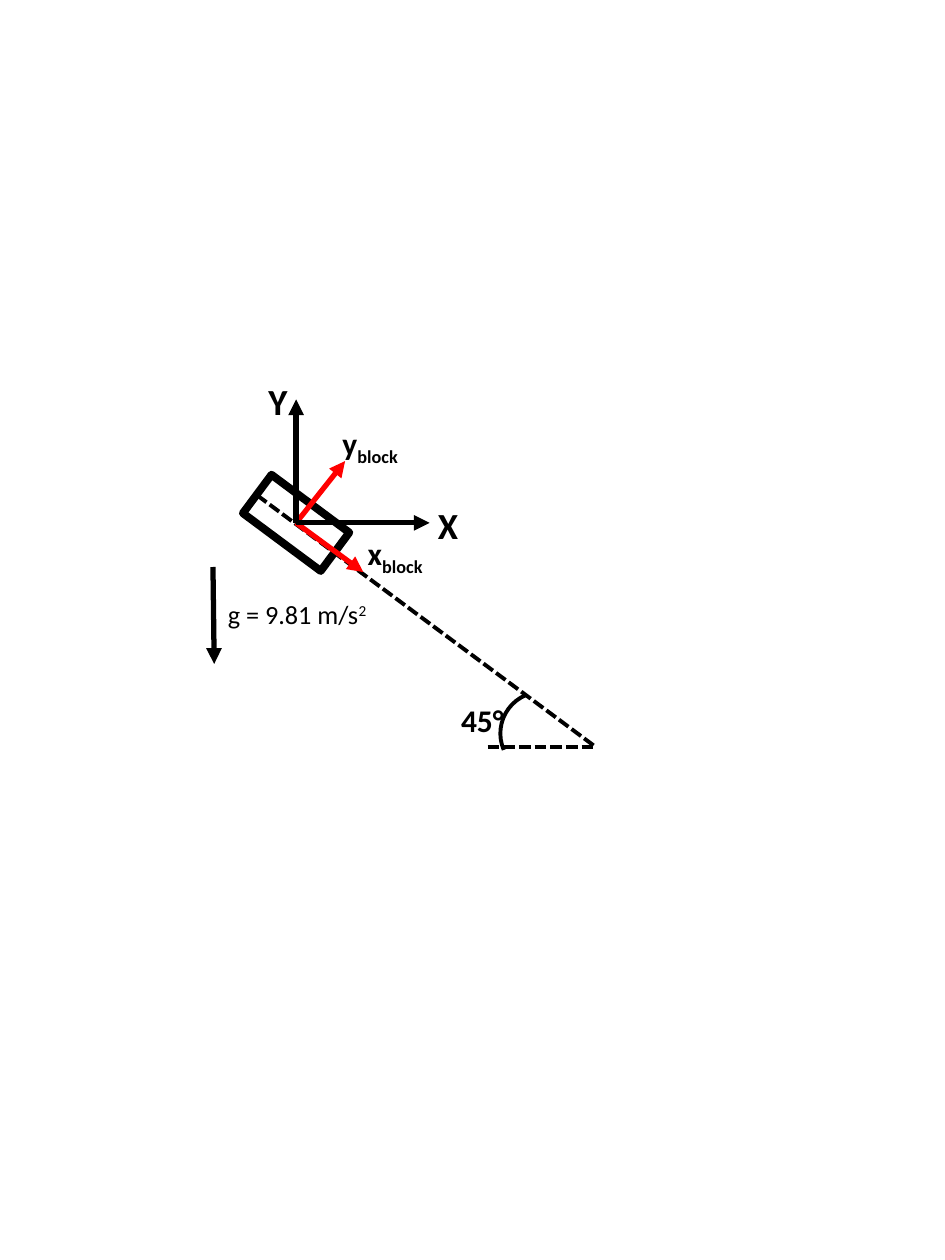
from dataclasses import dataclass

from lxml import etree
from pptx import Presentation
from pptx.dml.color import RGBColor
from pptx.enum.dml import MSO_LINE
from pptx.enum.shapes import MSO_CONNECTOR, MSO_SHAPE
from pptx.enum.text import MSO_AUTO_SIZE
from pptx.oxml.ns import qn
from pptx.util import Pt

STRAIGHT = MSO_CONNECTOR.STRAIGHT
DASH = MSO_LINE.SQUARE_DOT  # written to the file as sysDash
RECT, ARC = MSO_SHAPE.RECTANGLE, MSO_SHAPE.ARC
GROW = MSO_AUTO_SIZE.SHAPE_TO_FIT_TEXT


@dataclass(frozen=True)
class Theme:
    font: str = "Calibri"
    ink: RGBColor = RGBColor(0, 0, 0)
    red: RGBColor = RGBColor(255, 0, 0)
    large: float = 21
    mid: float = 18
    small: float = 15
    thin: float = 2.25
    bold: float = 3
    thick: float = 4.5


THEME = Theme()


def line(slide, start, end, color=THEME.ink, width=THEME.bold, arrow=True):
    """Draw a solid arrow, or a dashed line without a head."""
    link = slide.shapes.add_connector(STRAIGHT, *map(Pt, start + end))
    link.line.color.rgb = color
    link.line.width = Pt(width)
    if arrow:
        stroke = link.line._get_or_add_ln()
        etree.SubElement(stroke, qn("a:tailEnd"), type="triangle")
    else:
        link.line.dash_style = DASH
    etree.SubElement(link._element.spPr, qn("a:effectLst"))


def outline(slide, kind, box, turn, width):
    """Draw an unfilled, rotated shape."""
    shape = slide.shapes.add_shape(kind, *map(Pt, box))
    shape.rotation = turn
    shape.shadow.inherit = False
    shape.fill.background()
    shape.line.color.rgb = THEME.ink
    shape.line.width = Pt(width)


def label(slide, box, text, size, bold=True, extra="", shift=0):
    """Write a label, with an optional raised or lowered ending."""
    frame = slide.shapes.add_textbox(*map(Pt, box)).text_frame
    frame.word_wrap = False
    frame.auto_size = GROW
    para = frame.paragraphs[0]
    font = para.font
    font.name, font.size, font.bold = THEME.font, Pt(size), bold
    font.color.rgb = THEME.ink
    para.add_run().text = text
    if extra:
        run = para.add_run()
        run.text = extra
        run._r.get_or_add_rPr().set("baseline", str(shift * 1000))


def incline(slide, box):
    """Dashed slope and base, with the angle between them."""
    x, y, w, h = box
    foot = (x + w, y + h)
    for start in ((x, y), (foot[0] - 62, foot[1])):
        line(slide, start, foot, width=THEME.thin, arrow=False)
    side = 47.5
    arc = (foot[0] - 54.7, foot[1] - 31.7, side, side)
    outline(slide, ARC, arc, 246.6, THEME.thin)
    label(slide, (foot[0] - 84.2, foot[1] - 30.2, 38.9, 28.8),
          "45°", THEME.mid)


def block(slide, box):
    """Sliding block with its own red axes."""
    x, y, w, h = box
    mid = (x + w / 2, y + h / 2)
    outline(slide, RECT, box, 36.6, THEME.thick)
    axes = (
        ("y", (28, -35.3), (19.4, -59.8, 50.4)),
        ("x", (38.4, 28.1), (33.8, 2.9, 49.7)),
    )
    for name, (dx, dy), (left, top, wide) in axes:
        line(slide, mid, (mid[0] + dx, mid[1] + dy), THEME.red)
        label(slide, (mid[0] + left, mid[1] + top, wide, 28.8),
              name, THEME.mid, extra="block", shift=-25)


def world(slide, box):
    """Fixed axes that start at the lower left corner of the box."""
    x, y, w, h = box
    base = (x, y + h)
    line(slide, base, (x, y))
    line(slide, base, (x + w, y + h))
    label(slide, (x + w - 2.4, y + h - 15.1, 25.9, 32.4), "X", THEME.large)
    label(slide, (x - 23, y - 15.1, 25.2, 32.4), "Y", THEME.large)


def gravity(slide, box):
    """Downward arrow with the value of g."""
    x, y, w, h = box
    line(slide, (x, y), (x + 0.7, y + h))
    label(slide, (x + 1.4, y + 14.4, w, 25.2), "g = 9.81 m/s",
          THEME.small, bold=False, extra="2", shift=30)


def main():
    deck = Presentation()
    deck.slide_width, deck.slide_height = Pt(540), Pt(720)
    slide = deck.slides.add_slide(deck.slide_layouts[6])
    incline(slide, (146.9, 283, 193.7, 144))
    block(slide, (141.5, 285.1, 55.4, 27.4))
    world(slide, (169.2, 228.2, 76.3, 70.6))
    gravity(slide, (121.7, 324, 95, 55.4))
    deck.save("out.pptx")


if __name__ == "__main__":
    main()
